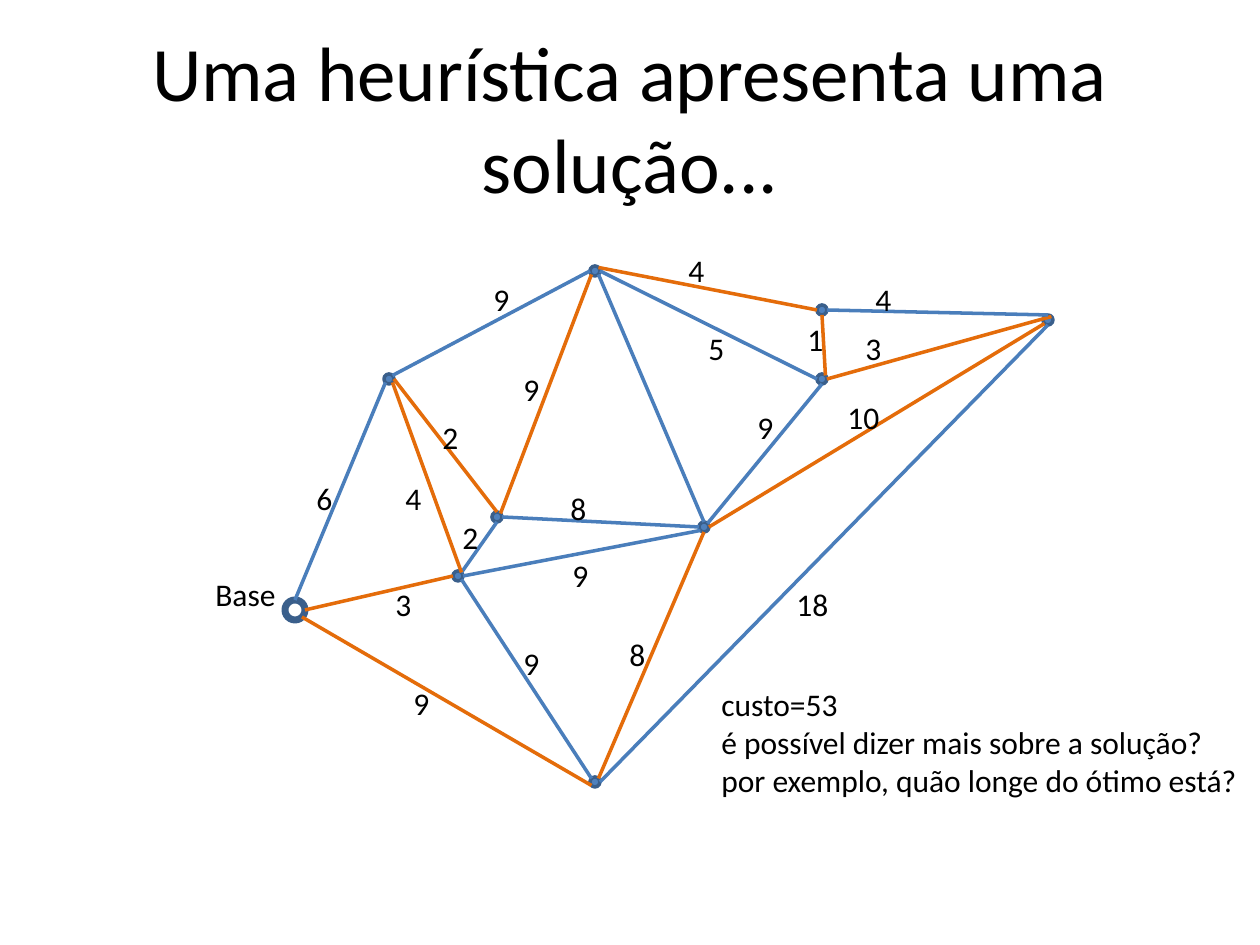
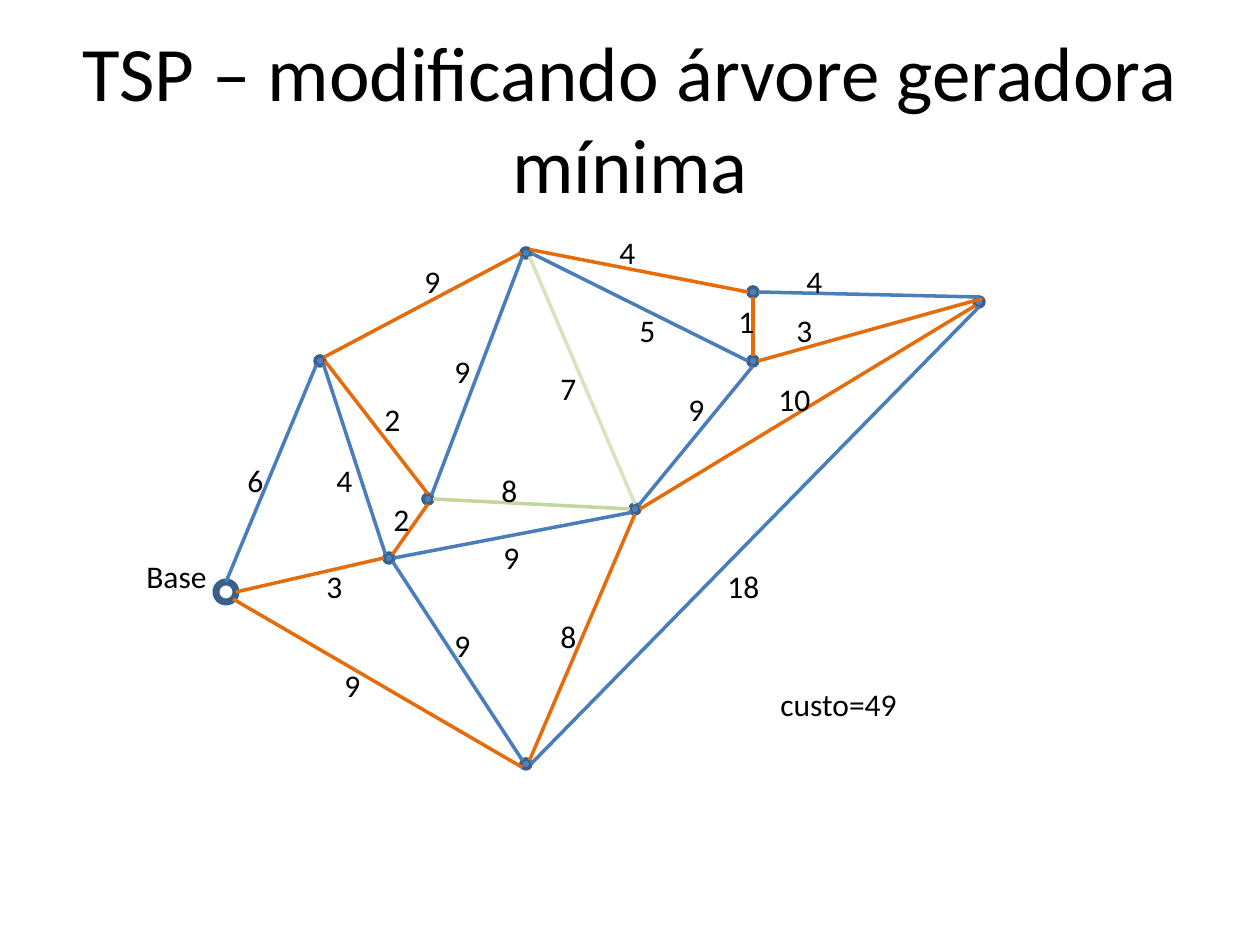
from lxml.etree import SubElement
from pptx import Presentation
from pptx.dml.color import RGBColor
from pptx.enum.shapes import MSO_CONNECTOR, MSO_SHAPE
from pptx.enum.text import MSO_ANCHOR, MSO_AUTO_SIZE, PP_ALIGN
from pptx.oxml.ns import qn
from pptx.util import Inches, Pt

PX = 914400 // 126  # EMU in one pixel
BLACK, FILL, RIM = "000000", "4F81BD", "3A5F8B"
# Edge colours: plain, on the tour, two tints for replaced edges
TINTS = {"b": "4A7EBB", "o": "E46C0A", "g": "C3D69B", "l": "D7E4BD"}


def paint(target, color):
    """Give a fill a solid colour, or a font or line its colour."""
    if hasattr(target, "solid"):
        target.solid()
        target = target.fore_color
    else:
        target = target.color
    target.rgb = RGBColor.from_string(color)


def style(frame, size):
    """Set the shared font on all the text of a frame."""
    for para in frame.paragraphs:
        for run in para.runs:
            run.font.name = "Calibri"
            run.font.size = Pt(size)
            paint(run.font, BLACK)


# Nodes: centre and radius
nodes = {
    "base": (295, 610, 10), "hub": (458, 576, 5), "west": (389, 379, 5),
    "mid": (497, 517, 5), "south": (595, 782, 5), "cross": (704, 527, 5),
    "north": (595, 271, 5), "east": (1048, 320, 5), "low": (822, 379, 5),
    "high": (822, 310, 5),
}

# Points on a node's rim, in units of its radius
sides = {"N": (0, -1), "S": (0, 1), "W": (-1, 0), "E": (1, 0),
         "NW": (-0.7, -0.7), "NE": (0.7, -0.7),
         "SW": (-0.7, 0.7), "SE": (0.7, 0.7)}

# Edges: node and side at each end, then the tint on each slide (- for none)
edges = [
    "base N west SW bb", "base E hub W oo", "west E mid N oo",
    "hub NE mid S bo", "hub NE west SE o-", "hub NW west SE -b",
    "south NE cross S oo", "hub SE south NW bb", "cross W mid E bg",
    "east NE low E oo", "west NE north W bo", "low NE high S o-",
    "low N high S -o", "north NE high W oo", "north SW mid NE ob",
    "base SE south SW oo", "hub E cross SW bb", "north SE cross N bl",
    "north E low W bb", "south E east S bb", "low S cross NE bb",
    "east SW cross E oo", "high E east N bb",
]

# Labels: text, left, top
labels = [
    ("3", 383, 579), ("6", 304, 473), ("4", 393, 473), ("2", 450, 512),
    ("8", 558, 483), ("8", 617, 629), ("9", 560, 550), ("9", 511, 638),
    ("9", 401, 678), ("18", 784, 579), ("9", 481, 274), ("9", 511, 364),
    ("4", 676, 245), ("5", 696, 323), ("1", 795, 314), ("4", 863, 274),
    ("3", 853, 323), ("9", 745, 402), ("10", 835, 392), ("Base", 203, 569),
]
widths = {1: 43, 2: 60, 4: 95}

# What differs: title, shift of the graph, own labels, note box and text
slides = [
    ("Uma heurística apresenta uma solução...", 0, 0, [("2", 430, 412)],
     (709, 679, 545, 158),
     "custo=53\né possível dizer mais sobre a solução?\n"
     "por exemplo, quão longe do ótimo está?"),
    ("TSP – modificando árvore geradora mínima", -69, -18,
     [("2", 441, 412), ("7", 617, 381)], (768, 679, 161, 88), "custo=49"),
]

deck = Presentation()
deck.slide_width, deck.slide_height = Inches(10), Inches(7.5)

for index, (head, dx, dy, own, place, note) in enumerate(slides):
    slide = deck.slides.add_slide(deck.slide_layouts[5])
    shapes = slide.shapes

    # Title
    title = shapes.title
    title.left, title.top = 63 * PX, 38 * PX
    title.width, title.height = 1134 * PX, 158 * PX
    frame = title.text_frame
    frame.text = head
    frame.word_wrap = True
    frame.auto_size = MSO_AUTO_SIZE.NONE
    frame.vertical_anchor = MSO_ANCHOR.MIDDLE
    frame.paragraphs[0].alignment = PP_ALIGN.CENTER
    style(frame, 44)

    # Nodes
    for name, (x, y, r) in nodes.items():
        dot = shapes.add_shape(
            MSO_SHAPE.FLOWCHART_CONNECTOR, (x - r + dx) * PX,
            (y - r + dy) * PX, 2 * r * PX, 2 * r * PX)
        dot.shadow.inherit = False
        paint(dot.line, RIM)
        if name == "base":
            dot.fill.background()
            dot.line.width = Pt(4)
        else:
            paint(dot.fill, FILL)
            dot.line.width = Pt(2)

    # Edges
    for edge in edges:
        start, out, end, into, tints = edge.split()
        if tints[index] == "-":
            continue
        ends = []
        for name, side in ((start, out), (end, into)):
            x, y, r = nodes[name]
            sx, sy = sides[side]
            ends += [round((x + r * sx + dx) * PX),
                     round((y + r * sy + dy) * PX)]
        line = shapes.add_connector(MSO_CONNECTOR.STRAIGHT, *ends)
        paint(line.line, TINTS[tints[index]])
        line.line.width = Pt(2)
        SubElement(line._element.spPr, qn("a:effectLst"))

    # Labels and note
    boxes = [(text, x + dx, y + dy, widths[len(text)], 50)
             for text, x, y in labels + own]
    for text, *area in boxes + [(note, *place)]:
        box = shapes.add_textbox(*[n * PX for n in area])
        box.text_frame.text = text
        box.text_frame.word_wrap = False
        style(box.text_frame, 18)

deck.save("out.pptx")
